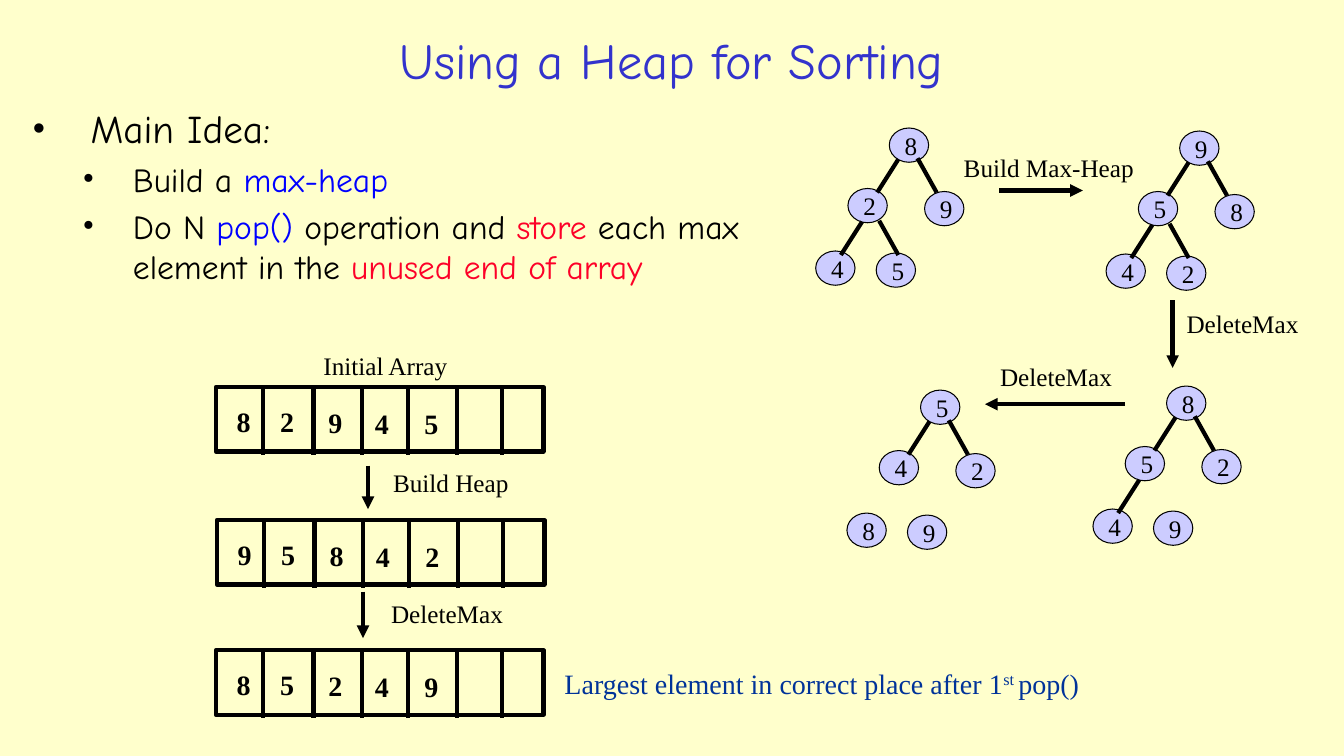
from lxml.etree import SubElement
from pptx import Presentation
from pptx.dml.color import RGBColor
from pptx.enum.shapes import MSO_CONNECTOR as Connector, MSO_SHAPE as Shape
from pptx.enum.text import MSO_ANCHOR as Anchor, MSO_AUTO_SIZE as AutoSize, PP_ALIGN as Align
from pptx.oxml.ns import qn
from pptx.util import Inches, Pt

COLORS = {
    "paper": "FFFFCC",
    "title": "3333CC",
    "ink": "000000",
    "blue": "0000FF",
    "red": "FD0128",
    "note": "003399",
    "node": "CCCCFF",
}
HAND, SERIF = "Comic Neue", "Times New Roman"

# Offsets from the left top corner of an array
CELL_EDGES = [0.47, 0.97, 1.45, 1.91, 2.39, 2.84]
DIGIT_SPOTS = [(0.11, 0.12), (0.54, 0.12), (1.02, 0.13), (1.48, 0.14), (1.97, 0.14)]

# Offsets from the left top corner of a root node, in heap order
NODE_SPOTS = [(0, 0), (-0.41, 0.6), (0.35, 0.63), (-0.73, 1.22), (-0.13, 1.24)]
BRANCHES = [
    (0.09, 0.31, -0.12, 0.64),
    (0.28, 0.3, 0.47, 0.64),
    (-0.27, 0.93, -0.48, 1.26),
    (-0.1, 0.92, 0.09, 1.26),
]

ARRAYS = [(2.14, 3.84, "82945"), (2.15, 5.16, "95842"), (2.14, 6.45, "85249")]
# Root position, values, number of values still in the heap
HEAPS = [
    (8.82, 1.27, "82945", 5),
    (11.7, 1.3, "95842", 5),
    (11.57, 3.83, "85249", 4),
    (9.13, 3.87, "54289", 3),
]
ARROWS = [
    (3.65, 4.62, 3.65, 5.05),
    (3.6, 5.87, 3.6, 6.33),
    (9.91, 1.89, 10.74, 1.89),
    (11.63, 2.98, 11.63, 3.65),
    (11.16, 4.01, 9.77, 4.01),
]
STEP_LABELS = [
    (3.11, 3.43, 1.44, "Initial Array"),
    (3.8, 4.59, 1.35, "Build Heap"),
    (3.78, 5.89, 1.31, "DeleteMax"),
    (9.46, 1.46, 1.89, "Build Max-Heap"),
    (11.67, 3.01, 1.31, "DeleteMax"),
    (9.82, 3.54, 1.31, "DeleteMax"),
]
IDEAS = [
    (0, [("Main Idea:", "ink")]),
    (1, [("Build a ", "ink"), ("max-heap", "blue")]),
    (1, [("Do N ", "ink"), ("pop() ", "blue"), ("operation and ", "ink"),
         ("store ", "red"), ("each max element in the ", "ink"),
         ("unused end of array", "red")]),
]
# Size, text indent and bullet width for each outline level
LEVELS = [(28, 0.58, 0.58), (24, 1, 0.5)]


def rgb(name):
    return RGBColor.from_string(COLORS[name])


def add_run(paragraph, text, size, color="ink", font=SERIF, bold=False):
    run = paragraph.add_run()
    run.text = text
    for name, value in {"size": Pt(size), "name": font, "bold": bold}.items():
        setattr(run.font, name, value)
    run.font.color.rgb = rgb(color)
    return run


def add_frame(shapes, left, top, width, height, wrap=True):
    box = shapes.add_textbox(Inches(left), Inches(top), Inches(width), Inches(height))
    frame = box.text_frame
    frame.word_wrap = wrap
    frame.auto_size = AutoSize.NONE if wrap else AutoSize.SHAPE_TO_FIT_TEXT
    return frame


def add_label(shapes, left, top, width, height, text, size=18, align=Align.LEFT, **style):
    paragraph = add_frame(shapes, left, top, width, height, wrap=False).paragraphs[0]
    paragraph.alignment = align
    add_run(paragraph, text, size, **style)
    return paragraph


def add_outline(shapes, kind, left, top, width, height, weight, fill=None):
    shape = shapes.add_shape(kind, Inches(left), Inches(top), Inches(width), Inches(height))
    shape.shadow.inherit = False
    if fill:
        shape.fill.solid()
        shape.fill.fore_color.rgb = rgb(fill)
    else:
        shape.fill.background()
    shape.line.color.rgb = rgb("ink")
    shape.line.width = Pt(weight)


def add_line(shapes, ends, arrow=False):
    line = shapes.add_connector(Connector.STRAIGHT, *[Inches(end) for end in ends])
    line.line.color.rgb = rgb("ink")
    line.line.width = Pt(3)
    if arrow:
        SubElement(line.line._get_or_add_ln(), qn("a:tailEnd"), type="triangle")
    SubElement(line.element.spPr, qn("a:effectLst"))


def add_title(shapes):
    frame = add_frame(shapes, 1.89, 0.21, 9.54, 0.76)
    frame.vertical_anchor = Anchor.MIDDLE
    frame.paragraphs[0].alignment = Align.CENTER
    add_run(frame.paragraphs[0], "Using a Heap for Sorting", 36, "title", HAND)


def add_ideas(shapes):
    frame = add_frame(shapes, 0.22, 0.99, 7.39, 2.25)
    for index, (level, parts) in enumerate(IDEAS):
        size, indent, bullet_width = LEVELS[level]
        paragraph = frame.add_paragraph() if index else frame.paragraphs[0]
        paragraph.level = level
        paragraph.space_before = Pt(size * 0.2)
        properties = paragraph._p.get_or_add_pPr()
        properties.set("marL", str(Inches(indent)))
        properties.set("indent", str(-Inches(bullet_width)))
        SubElement(properties, qn("a:buFont"), typeface=SERIF)
        SubElement(properties, qn("a:buChar"), char="•")
        for text, color in parts:
            add_run(paragraph, text, size, color, HAND)


def add_array(shapes, left, top, values):
    add_outline(shapes, Shape.RECTANGLE, left, top, 3.25, 0.64, 3)
    for edge in CELL_EDGES:
        add_line(shapes, (left + edge, top + 0.01, left + edge, top + 0.67))
    for value, (dx, dy) in zip(values, DIGIT_SPOTS):
        add_label(shapes, left + dx, top + dy, 0.34, 0.43, value, 20, bold=True)


def add_node(shapes, left, top, value):
    node = shapes.add_group_shape().shapes
    add_outline(node, Shape.OVAL, left, top, 0.39, 0.34, 0.75, "node")
    add_label(node, left + 0.05, top - 0.03, 0.33, 0.4, value, align=Align.CENTER)


def add_heap(shapes, left, top, values, heap_size):
    """Draw all values as nodes, and branches only to those still in the heap."""
    for value, (dx, dy) in zip(values, NODE_SPOTS):
        add_node(shapes, left + dx, top + dy, value)
    for x1, y1, x2, y2 in BRANCHES[:heap_size - 1]:
        add_line(shapes, (left + x1, top + y1, left + x2, top + y2))


def add_result_note(shapes):
    note = add_label(shapes, 5.5, 6.56, 5.38, 0.44,
                     "Largest element in correct place after 1", 20, color="note")
    ordinal = add_run(note, "st ", 20, "note")
    ordinal._r.get_or_add_rPr().set("baseline", "30000")
    add_run(note, "pop()", 20, "note")


def main():
    deck = Presentation()
    deck.slide_width, deck.slide_height = Inches(13.33), Inches(7.5)
    slide = deck.slides.add_slide(deck.slide_layouts[6])
    slide.background.fill.solid()
    slide.background.fill.fore_color.rgb = rgb("paper")
    shapes = slide.shapes

    add_title(shapes)
    add_ideas(shapes)
    for array in ARRAYS:
        add_array(shapes, *array)
    for heap in HEAPS:
        add_heap(shapes, *heap)
    for arrow in ARROWS:
        add_line(shapes, arrow, arrow=True)
    for left, top, width, text in STEP_LABELS:
        add_label(shapes, left, top, width, 0.4, text)
    add_result_note(shapes)
    deck.save("out.pptx")


if __name__ == "__main__":
    main()
